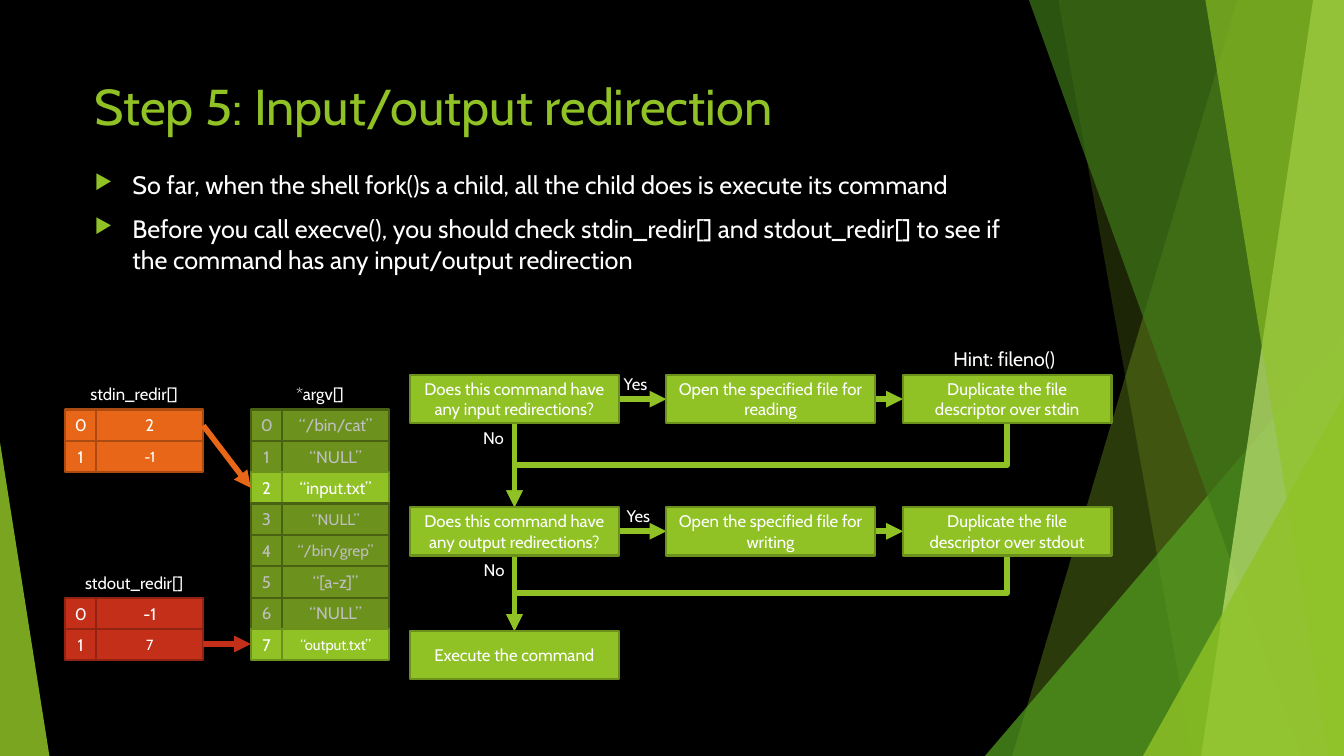
from lxml import etree
from pptx import Presentation
from pptx import util as u
from pptx.dml.color import RGBColor
from pptx.enum import shapes, text
from pptx.oxml.ns import qn

Pt = u.Pt
FONT = "Cabin"
C = {
    "black": "000000", "white": "FFFFFF", "grey": "BFBFBF",
    "green": "90C226", "green_line": "6B901C",
    "dim": "6C921D", "dim_line": "486113",
    "orange": "E76618", "orange_line": "AB4B12",
    "red": "C42F1A", "red_line": "912313",
    "leaf": "54A021", "forest": "3F7819", "lime": "C0E474",
}
RGB = {name: RGBColor.from_string(value) for name, value in C.items()}

prs = Presentation()
prs.slide_width, prs.slide_height = Pt(960), Pt(540)
s = prs.slides.add_slide(prs.slide_layouts[6])
s.background.fill.solid()
s.background.fill.fore_color.rgb = RGB["black"]


def add_box(x, y, w, h, words, size=12, fill=None, color="white", align="CENTER"):
    """Add a filled, outlined text cell, or a bare label when fill is None."""
    if fill:
        sp = s.shapes.add_shape(shapes.MSO_SHAPE.RECTANGLE, Pt(x), Pt(y), Pt(w), Pt(h))
        sp.shadow.inherit = False
        sp.fill.solid()
        sp.fill.fore_color.rgb = RGB[fill]
        sp.line.color.rgb = RGB[fill + "_line"]
        sp.line.width = Pt(1.5)
    else:
        sp = s.shapes.add_textbox(Pt(x), Pt(y), Pt(w), Pt(h))
        sp.text_frame.margin_left = sp.text_frame.margin_right = 0
    tf = sp.text_frame
    tf.word_wrap = True
    tf.vertical_anchor = text.MSO_ANCHOR.MIDDLE
    tf.text = words
    for p in tf.paragraphs:
        p.alignment = getattr(text.PP_ALIGN, align)
        for r in p.runs:
            r.font.name, r.font.size = FONT, Pt(size)
            r.font.color.rgb = RGB[color]
    return sp


def add_arrow(x1, y1, x2, y2, color="green", bent=False):
    """Add an arrow; a bent one leaves and arrives vertically, running leftwards."""
    kind = shapes.MSO_CONNECTOR.STRAIGHT
    if bent:
        # The elbow is laid out sideways about its centre, then turned 90 degrees.
        kind = shapes.MSO_CONNECTOR.ELBOW
        cx, cy, dx, dy = (x1 + x2) / 2, (y1 + y2) / 2, (x1 - x2) / 2, (y2 - y1) / 2
        x1, y1, x2, y2 = cx - dy, cy - dx, cx + dy, cy + dx
    cn = s.shapes.add_connector(kind, Pt(x1), Pt(y1), Pt(x2), Pt(y2))
    cn.line.color.rgb = RGB[color]
    cn.line.width = Pt(4)
    props = cn._element.spPr
    if bent:
        props.find(qn("a:xfrm")).set("rot", "5400000")
    etree.SubElement(props.find(qn("a:ln")), qn("a:tailEnd"), type="triangle")
    etree.SubElement(props, qn("a:effectLst"))


# Translucent facets: polygons list (x, y) points, triangles list x, y, w, h, apex
facets = [
    ([(884, 0), (960, 0), (960, 540), (723, 540)], "green", 30),
    ([(756, 0), (960, 0), (960, 540), (852, 540)], "green", 20),
    ((703.5, 240, 256.5, 300, 1), "leaf", 72),
    ([(735, 0), (960, 0), (960, 540), (929.5, 540)], "forest", 70),
    ([(938, 0), (960, 0), (960, 540), (858, 540)], "lime", 70),
    ([(861, 0), (960, 0), (960, 540), (949, 540)], "green", 65),
    ((816.5, 283, 143.5, 257, 1), "green", 80),
    ((0, 316, 35.3, 224, 0), "green", 85),
]
for outline, color, opacity in facets:
    if isinstance(outline, list):
        points = [(Pt(x), Pt(y)) for x, y in outline]
        fb = s.shapes.build_freeform(*points[0])
        fb.add_line_segments(points[1:], close=True)
        sp = fb.convert_to_shape()
    else:
        sp = s.shapes.add_shape(shapes.MSO_SHAPE.ISOSCELES_TRIANGLE,
                                *[Pt(v) for v in outline[:4]])
        sp.adjustments[0] = outline[4]
    sp.shadow.inherit = False
    sp.line.fill.background()
    sp.fill.solid()
    sp.fill.fore_color.rgb = RGB[color]
    clr = sp._element.spPr.find(qn("a:solidFill"))[0]
    etree.SubElement(clr, qn("a:alpha"), val=str(opacity * 1000))

# Title and bullets
add_box(60.5, 48, 734, 54, "Step 5: Input/output redirection", 36,
        color="green", align="LEFT")
body = add_box(60.5, 117.5, 677, 305, "\n".join([
    "So far, when the shell fork()s a child, all the child does is execute its command",
    "Before you call execve(), you should check stdin_redir[] and stdout_redir[] "
    "to see if the command has any input/output redirection",
]), 18, align="LEFT")
body.text_frame.vertical_anchor = text.MSO_ANCHOR.TOP
for p in body.text_frame.paragraphs:
    p.space_before = Pt(10)
    pPr = p._p.get_or_add_pPr()
    pPr.set("marL", str(Pt(27)))
    pPr.set("indent", str(-Pt(27)))
    etree.SubElement(etree.SubElement(pPr, qn("a:buClr")), qn("a:srgbClr"), val=C["green"])
    etree.SubElement(pPr, qn("a:buSzPct"), val="80000")
    etree.SubElement(pPr, qn("a:buChar"), char="▶")
for sp in (s.shapes[-2], body):
    sp.text_frame.margin_left = sp.text_frame.margin_right = Pt(7.2)

# Flowchart
STEP_X, STEP_Y = [293, 476, 645], [267.8, 362.2, 450.7]
STEP_W, STEP_H = 149, 34.6
steps = [
    ["Does this command have any input redirections?",
     "Open the specified file for reading",
     "Duplicate the file descriptor over stdin"],
    ["Does this command have any output redirections?",
     "Open the specified file for writing",
     "Duplicate the file descriptor over stdout"],
    ["Execute the command"],
]
first_mid, last_mid = STEP_X[0] + STEP_W / 2, STEP_X[2] + STEP_W / 2
for y, below in zip(STEP_Y, STEP_Y[1:]):
    bottom, middle = y + STEP_H, y + STEP_H / 2
    add_arrow(last_mid, bottom, first_mid, below, bent=True)
    add_arrow(first_mid, bottom, first_mid, below)
    for x, following in zip(STEP_X, STEP_X[1:]):
        add_arrow(x + STEP_W, middle, following, middle)
for y, row in zip(STEP_Y, steps):
    for x, words in zip(STEP_X, row):
        add_box(x, y, STEP_W, STEP_H, words, fill="green")
for x, y, words in [(435.6, 263.5, "Yes"), (437.6, 358, "Yes"),
                    (337.7, 301.7, "No"), (338.2, 396, "No")]:
    add_box(x, y, 36.7 if words == "Yes" else 29.5, 21.6, words)
add_box(681, 244, 110, 24.5, "Hint: fileno()", 14, align="LEFT")

# Arrays: left, top, name, fill, (value, size) rows, highlighted rows
CELL = 22.4
arrays = [
    (179.2, 292.5, "*argv[]", "dim",
     [("“/bin/cat”", 12), ("“NULL”", 12), ("“input.txt”", 12), ("“NULL”", 11),
      ("“/bin/grep”", 11), ("“[a-z]”", 12), ("“NULL”", 12), ("“output.txt”", 10.5)],
     [2, 7]),
    (46.5, 292.5, "stdin_redir[]", "orange", [("2", 12), ("-1", 10.5)], []),
    (46.5, 427, "stdout_redir[]", "red", [("-1", 12), ("7", 10.5)], []),
]
for x, top, name, base, rows, marked in arrays:
    add_box(x, top - 21.8, 98.7, 21.6, name)
    for i, (value, size) in enumerate(rows):
        fill = "green" if i in marked else base
        color = "grey" if fill == "dim" else "white"
        y = top + i * CELL
        add_box(x + CELL, y, 76.3, CELL, value, size, fill, color)
        add_box(x, y, CELL, CELL, str(i), 12, fill, color)

add_arrow(145.2, 304, 179.2, 348.5, "orange")
add_arrow(145.2, 460, 179.2, 460, "red")

prs.save("out.pptx")
